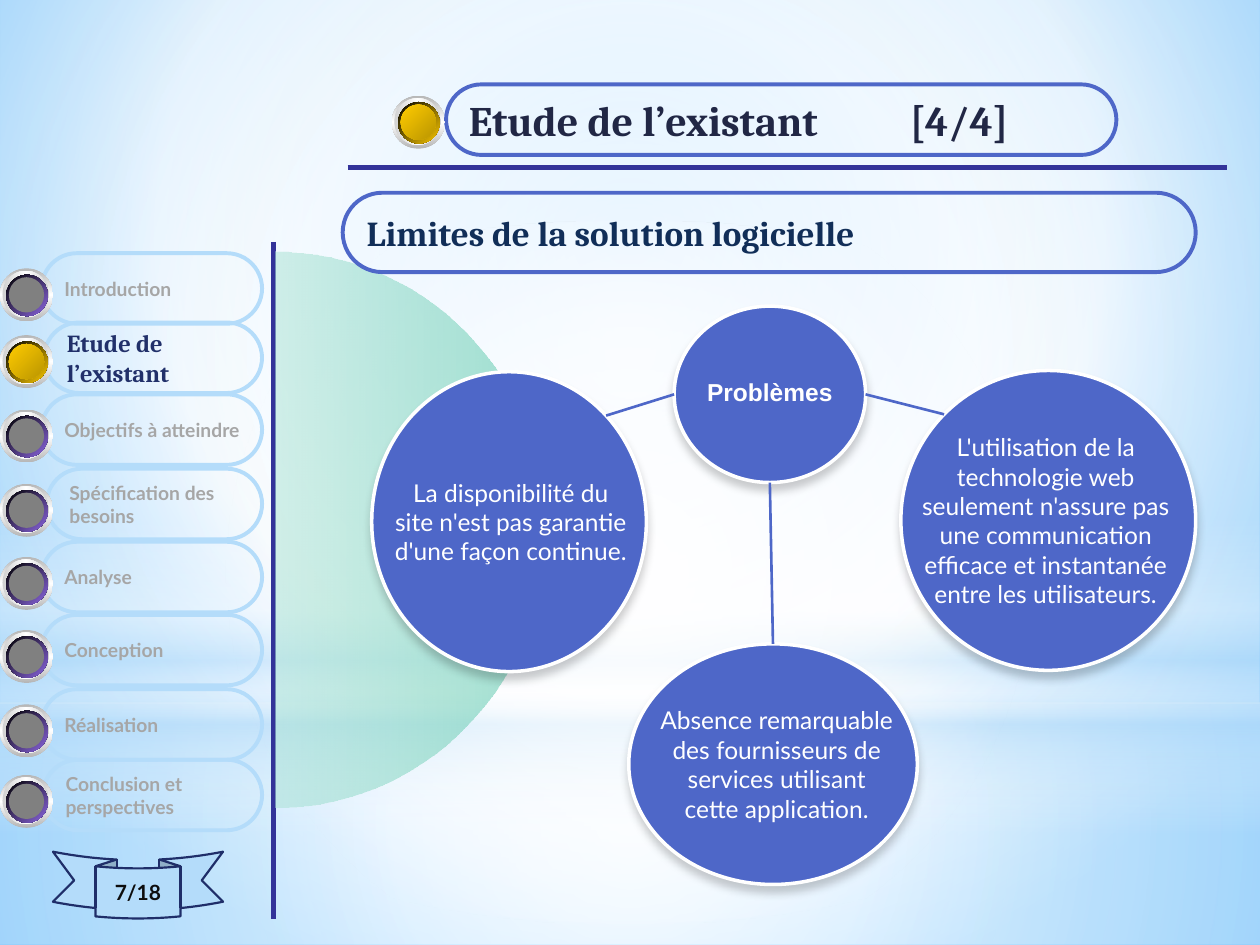
"""Build the slide on the limits of the existing software solution."""
from dataclasses import dataclass
from math import cos, pi, sin

from pptx import Presentation
from pptx.dml.color import RGBColor
from pptx.enum.shapes import MSO_CONNECTOR, MSO_SHAPE
from pptx.enum.text import MSO_ANCHOR, PP_ALIGN
from pptx.oxml import parse_xml
from pptx.oxml.ns import nsdecls, qn
from pptx.util import Inches, Pt

RECT = MSO_SHAPE.RECTANGLE
OVAL = MSO_SHAPE.OVAL
PILL = MSO_SHAPE.ROUNDED_RECTANGLE
RIBBON = MSO_SHAPE.CURVED_DOWN_RIBBON
STRAIGHT = MSO_CONNECTOR.STRAIGHT
MIDDLE = MSO_ANCHOR.MIDDLE
CENTER = PP_ALIGN.CENTER
CENTRE_FOCUS = (50, 50, 50, 50)


@dataclass(frozen=True)
class Theme:
    """Colours, fonts and type sizes of the slide."""
    rule: str = "333399"
    accent: str = "4E67C8"
    pale: str = "B4DCFA"
    white: str = "FFFFFF"
    black: str = "000000"
    green: str = "56C7AA"
    pale_green: str = "AAE3D4"
    ribbon_line: str = "1F2E69"
    sky: str = "9ED5FF"
    deep_sky: str = "5BB9FF"
    off_ring: str = "8D67E1"
    off_core: str = "808080"
    on_ring: str = "FFCC00"
    on_core: str = "BA9500"
    outer_rim: str = "B6B6B6"
    inner_rim: str = "D1D1D1"
    title: tuple = ("Cambria", 24, "212745", True)
    subtitle: tuple = ("Cambria", 20, "112E58", True)
    current: tuple = ("Cambria", 14, "21306A", True)
    menu: tuple = ("Lato", 11, "A6A6A6", True)
    page: tuple = ("Lato", 12, "0D0D0D", True)
    hub: tuple = ("Arial", 14, "FFFFFF", True)
    problem: tuple = ("Lato", 14, "FFFFFF", False)


THEME = Theme()


def gradient_xml(stops, angle=0, focus=None):
    """Return a gradient fill from (position, colour, opacity) stops."""
    marks = "".join(
        f'<a:gs pos="{pos * 1000}"><a:srgbClr val="{colour}">'
        f'<a:alpha val="{opacity * 1000}"/></a:srgbClr></a:gs>'
        for pos, colour, opacity in stops)
    if focus:
        sides = " ".join(f'{side}="{value * 1000}"' for side, value in zip("ltrb", focus))
        course = f'<a:path path="circle"><a:fillToRect {sides}/></a:path>'
    else:
        course = f'<a:lin ang="{angle * 60000}" scaled="0"/>'
    return parse_xml(f'<a:gradFill {nsdecls("a")} rotWithShape="1">'
                     f'<a:gsLst>{marks}</a:gsLst>{course}</a:gradFill>')


def apply_gradient(fill, holder, gradient):
    """Put a gradient in the place of the holder's fill."""
    fill.solid()
    plain = holder.find(qn("a:solidFill"))
    holder.replace(plain, gradient)


def style_shape(shape, fill=None, line=None, width=1):
    """Set fill and outline, and remove the inherited shadow."""
    shape.shadow.inherit = False
    if fill is None:
        shape.fill.background()
    elif isinstance(fill, str):
        shape.fill.solid()
        shape.fill.fore_color.rgb = RGBColor.from_string(fill)
    else:
        apply_gradient(shape.fill, shape.element.spPr, fill)
    if line:
        shape.line.color.rgb = RGBColor.from_string(line)
        shape.line.width = Pt(width)
    else:
        shape.line.fill.background()


def add_figure(shapes, kind, box, fill=None, line=None, width=1):
    """Add a styled preset shape."""
    figure = shapes.add_shape(kind, *map(Inches, box))
    style_shape(figure, fill, line, width)
    return figure


def write(shape, text, style, align=None, wrap=True):
    """Write text into a shape in one type style."""
    name, size, colour, bold = style
    frame = shape.text_frame
    frame.text = text
    frame.word_wrap = wrap
    frame.vertical_anchor = MIDDLE
    for paragraph in frame.paragraphs:
        paragraph.alignment = align or PP_ALIGN.LEFT
        for run in paragraph.runs:
            run.font.name = name
            run.font.size = Pt(size)
            run.font.bold = bold
            run.font.color.rgb = RGBColor.from_string(colour)


def add_pill(shapes, box, line, text, style):
    """Add an outlined label with fully rounded ends."""
    pill = add_figure(shapes, PILL, box, line=line, width=2.25)
    pill.adjustments[0] = 0.5
    write(pill, text, style, wrap=False)


def add_line(shapes, start, end, colour, width):
    """Add a straight line without shadow."""
    line = shapes.add_connector(STRAIGHT, *map(Inches, (*start, *end)))
    line.line.color.rgb = RGBColor.from_string(colour)
    line.line.width = Pt(width)
    line.element.spPr.append(parse_xml(f'<a:effectLst {nsdecls("a")}/>'))


def add_button(shapes, left, top, active=False):
    """Add a round metal button, gold when active."""
    button = shapes.add_group_shape().shapes
    ring = THEME.on_ring if active else THEME.off_ring
    core = THEME.off_core
    if active:
        core = gradient_xml([(0, THEME.on_ring, 100), (100, THEME.on_core, 100)], 45)
    rims = [gradient_xml([(0, rim, 100), (50, THEME.white, 100), (100, rim, 100)], angle)
            for rim, angle in ((THEME.outer_rim, 90), (THEME.inner_rim, 0))]
    bevel = gradient_xml([(0, THEME.black, 100), (100, ring, 100)], 45)
    for inset, size, fill in zip((0, 0.02, 0.05, 0.07), (0.42, 0.37, 0.33, 0.28),
                                 (*rims, bevel, core)):
        add_figure(button, OVAL, (left + inset, top + inset, size, size), fill)


def add_bubble(shapes, box, text_box, text, style, spacing=1.0):
    """Add a shadowed disc with its centred text."""
    bubble = shapes.add_group_shape().shapes
    disc = add_figure(bubble, OVAL, box, THEME.accent, THEME.white, 2)
    disc.element.spPr.find(qn("a:effectLst")).append(parse_xml(
        f'<a:outerShdw {nsdecls("a")} blurRad="{Pt(5)}" dist="{Pt(4)}" dir="5400000" '
        f'rotWithShape="0"><a:srgbClr val="{THEME.black}"><a:alpha val="20000"/>'
        '</a:srgbClr></a:outerShdw>'))
    caption = bubble.add_textbox(*map(Inches, text_box))
    write(caption, text, style, CENTER)
    frame = caption.text_frame
    frame.margin_left = frame.margin_right = Inches(0.01)
    frame.margin_top = frame.margin_bottom = Inches(0.01)
    frame.paragraphs[0].line_spacing = spacing


def rim_point(box, degrees):
    """Return the point of an oval's rim at a clockwise angle."""
    left, top, width, height = box
    angle = degrees * pi / 180
    return left + width / 2 * (1 + cos(angle)), top + height / 2 * (1 + sin(angle))


def add_backdrop(slide):
    """Paint the sky background and its veils of light."""
    white, pale = THEME.white, THEME.pale
    apply_gradient(slide.background.fill, slide.element.cSld.get_or_add_bgPr(), gradient_xml(
        [(0, THEME.sky, 100), (60, white, 100), (100, THEME.deep_sky, 100)],
        focus=(20, 10, 20, 60)))
    veils = [
        (RECT, (0, 5.58, 10, 1.92), [(0, white, 91), (37, white, 76), (100, pale, 79)], CENTRE_FOCUS),
        (RECT, (0, 0, 10, 5.58), [(0, white, 89), (48, white, 62), (100, pale, 79)], CENTRE_FOCUS),
        (RECT, (0, 4.12, 10, 2.5), [(0, white, 0), (29, white, 30), (45, pale, 40),
                                    (55, white, 26), (65, pale, 60), (100, white, 0)], None),
        (OVAL, (0, 1.75, 10, 5.58), [(0, white, 100), (56, white, 0)], CENTRE_FOCUS),
    ]
    for kind, box, stops, focus in veils:
        add_figure(slide.shapes, kind, box, gradient_xml(stops, 90, focus))


def add_half_disc(shapes):
    """Draw the green half disc beside the menu."""
    rim = [rim_point((0.05, 2, 4.28, 4.41), degrees) for degrees in range(-90, 91, 3)]
    points = [(Inches(x), Inches(y)) for x, y in rim]
    builder = shapes.build_freeform(*points[0])
    builder.add_line_segments(points[1:], close=True)
    style_shape(builder.convert_to_shape(), gradient_xml(
        [(0, THEME.green, 56), (100, THEME.pale_green, 52)], 180))


def add_menu(shapes):
    """List the chapters, with the current one lit."""
    chapters = [
        (0.33, 2.01, "Introduction"), (0.35, 2.56, "Etude de\nl’existant"),
        (0.33, 3.13, "Objectifs à atteindre"), (0.37, 3.72, "Spécification des\nbesoins"),
        (0.33, 4.3, "Analyse"), (0.33, 4.88, "Conception"),
        (0.33, 5.47, "Réalisation"), (0.34, 6.03, "Conclusion et\nperspectives"),
    ]
    for number, (left, top, chapter) in enumerate(chapters):
        active = number == 1
        add_pill(shapes, (left, top, 2.08 - left, 0.56), THEME.pale, chapter,
                 THEME.current if active else THEME.menu)
        add_button(shapes, 0, top + (0.1 if active else 0.12), active)


def add_problems(shapes):
    """Draw the hub and the three problems linked to it."""
    hub = (5.35, 2.43, 1.52, 1.4)
    add_bubble(shapes, hub, (5.57, 2.63, 1.08, 0.99), "Problèmes", THEME.hub, 0.9)
    problems = [
        ((7.15, 2.94, 2.34, 2.38), (7.2, 3.29, 2.2, 1.68), 0, 225,
         "L'utilisation de la technologie web seulement n'assure pas une communication "
         "efficace et instantanée entre les utilisateurs."),
        ((4.99, 5.11, 2.29, 1.91), (5.21, 5.39, 1.91, 1.35), 90, 270,
         "Absence remarquable des fournisseurs de services utilisant cette application."),
        ((2.95, 2.95, 2.18, 2.38), (3.11, 3.3, 1.89, 1.68), 180, 315,
         "La disponibilité du site n'est pas garantie d'une façon continue."),
    ]
    for box, text_box, leave, arrive, problem in problems:
        add_bubble(shapes, box, text_box, problem, THEME.problem)
        add_line(shapes, rim_point(hub, leave), rim_point(box, arrive), THEME.accent, 1.5)


def main():
    """Build the slide and save it."""
    deck = Presentation()
    deck.slide_width, deck.slide_height = Inches(10), Inches(7.5)
    slide = deck.slides.add_slide(deck.slide_layouts[6])
    shapes = slide.shapes
    add_backdrop(slide)
    add_line(shapes, (2.76, 1.33), (9.74, 1.33), THEME.rule, 3)
    add_line(shapes, (2.17, 1.92), (2.17, 7.29), THEME.rule, 3)
    add_half_disc(shapes)
    add_pill(shapes, (3.54, 0.67, 5.32, 0.56), THEME.accent,
             "Etude de l’existant \t\t[4/4]", THEME.title)
    add_pill(shapes, (2.72, 1.53, 6.77, 0.63), THEME.accent,
             "Limites de la solution logicielle", THEME.subtitle)
    add_button(shapes, 3.11, 0.76, True)
    add_menu(shapes)
    page = add_figure(shapes, RIBBON, (0.42, 6.76, 1.35, 0.53), THEME.pale, THEME.ribbon_line, 1.25)
    write(page, "7/18", THEME.page, CENTER)
    add_problems(shapes)
    deck.save("out.pptx")


if __name__ == "__main__":
    main()
